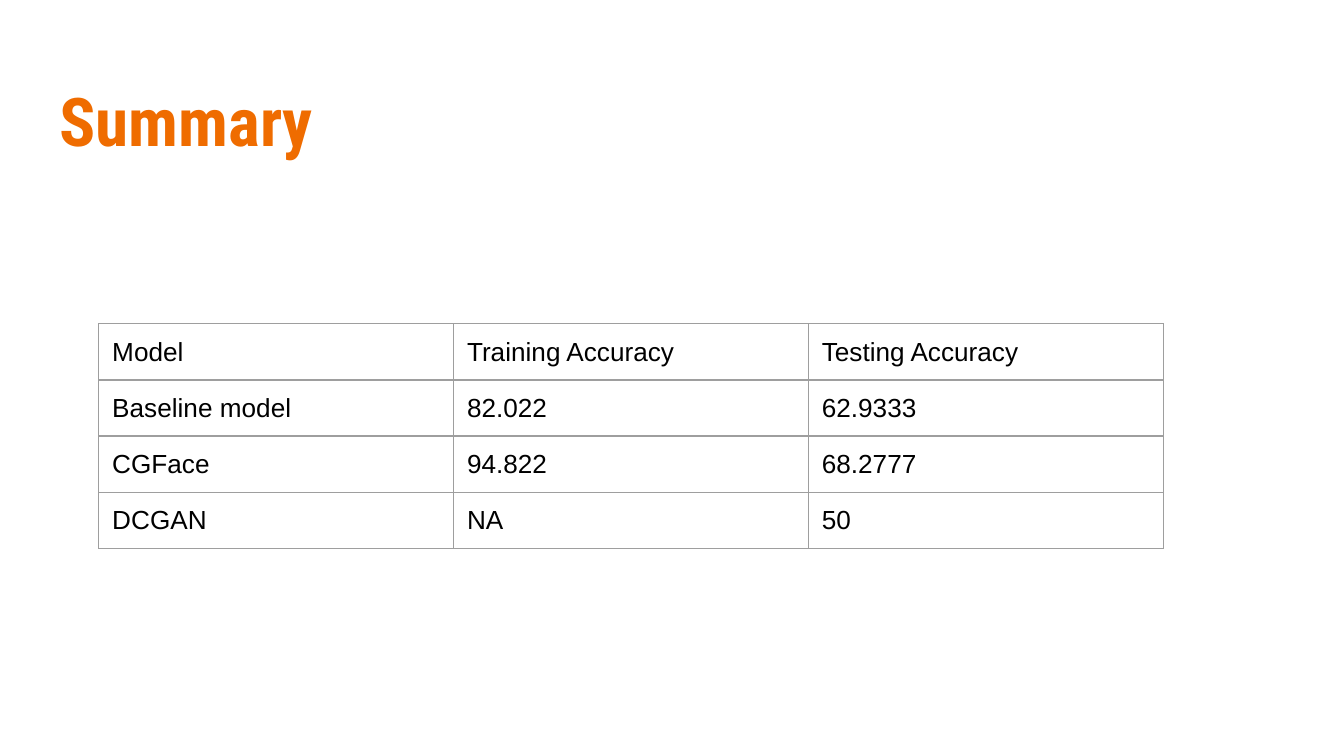
from lxml.etree import SubElement
from pptx import Presentation
from pptx.dml.color import RGBColor
from pptx.enum.text import MSO_ANCHOR
from pptx.oxml.ns import qn
from pptx.util import Pt

PX = 4572
PAD = 20 * PX
ORANGE = RGBColor(0xEF, 0x6C, 0x00)
BLACK = RGBColor(0x00, 0x00, 0x00)
GREY = RGBColor(0x9E, 0x9E, 0x9E)

INSETS = {side: PAD for side in ("margin_left", "margin_top", "margin_right", "margin_bottom")}
CELL_INSETS = {**INSETS, "margin_bottom": 16 * PX}
HEADING_FONT = {"name": "Roboto Condensed", "size": Pt(36), "bold": True}
CELL_FONT = {"name": "Arial", "size": Pt(14), "bold": False}

RESULTS = [
    ["Model", "Training Accuracy", "Testing Accuracy"],
    ["Baseline model", "82.022", "62.9333"],
    ["CGFace", "94.822", "68.2777"],
    ["DCGAN", "NA", "50"],
]


def apply(target, values):
    for key, value in values.items():
        setattr(target, key, value)


def write(frame, text, font, color):
    paragraph = frame.paragraphs[0]
    run = paragraph.add_run()
    run.text = text
    apply(run.font, font)
    run.font.color.rgb = color


def outline(cell):
    properties = cell._tc.get_or_add_tcPr()
    for position, side in enumerate(("lnL", "lnR", "lnT", "lnB")):
        border = SubElement(properties, qn(f"a:{side}"), w=str(Pt(0.75)))
        fill = SubElement(border, qn("a:solidFill"))
        SubElement(fill, qn("a:srgbClr"), val=str(GREY))
        properties.insert(position, border)


def add_heading(slide, box, text):
    heading = slide.shapes.add_textbox(*(length * PX for length in box))
    frame = heading.text_frame
    apply(frame, {**INSETS, "word_wrap": True, "vertical_anchor": MSO_ANCHOR.TOP})
    write(frame, text, HEADING_FONT, ORANGE)


def add_results(slide, box, rows):
    left, top, width, height = (length * PX for length in box)
    results = slide.shapes.add_table(len(rows), len(rows[0]), left, top, width, height).table
    apply(results, {"first_row": False, "horz_banding": False})
    for row, values in enumerate(rows):
        for column, value in enumerate(values):
            cell = results.cell(row, column)
            apply(cell, CELL_INSETS)
            cell.fill.background()
            outline(cell)
            write(cell.text_frame, value, CELL_FONT, BLACK)


def main():
    deck = Presentation()
    apply(deck, {"slide_width": 2000 * PX, "slide_height": 1125 * PX})
    slide = deck.slides.add_slide(deck.slide_layouts[6])
    add_heading(slide, (69, 98, 1864, 154), "Summary")
    add_results(slide, (147, 482, 1584, 334), RESULTS)
    deck.save("out.pptx")


if __name__ == "__main__":
    main()
